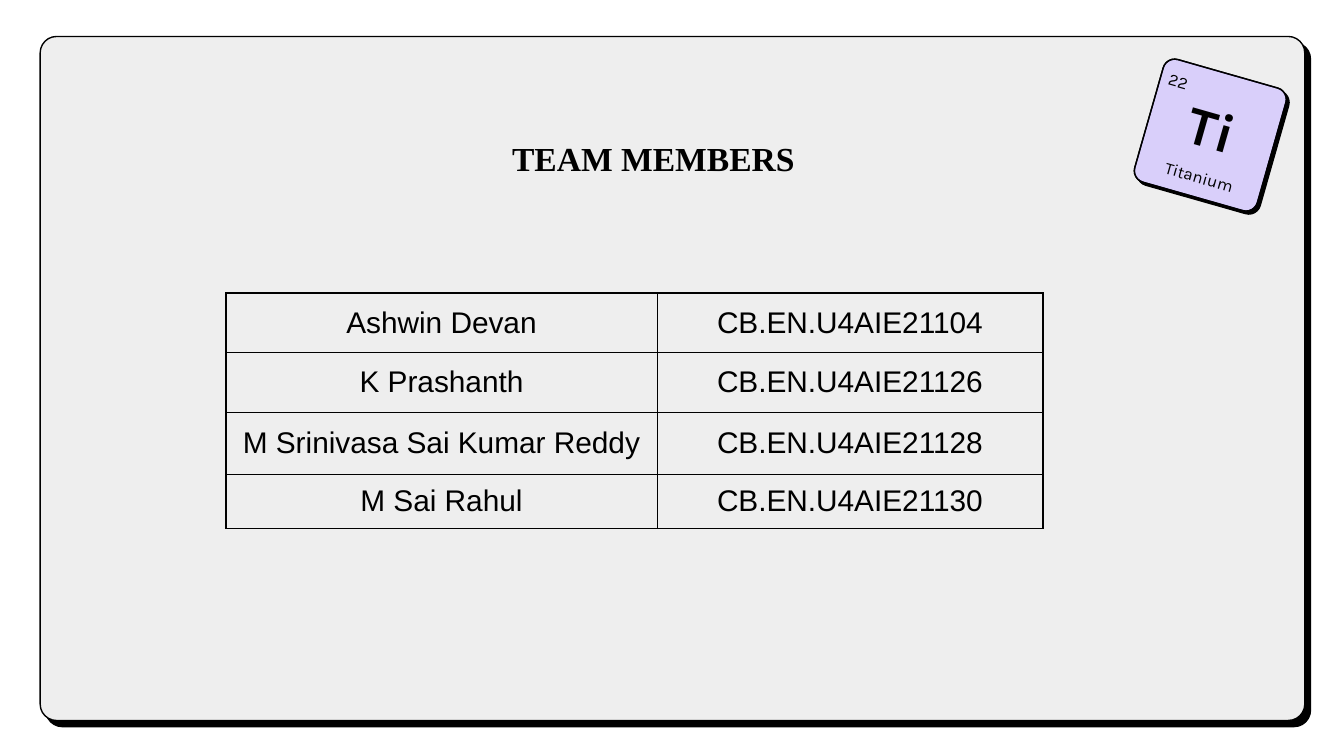
from lxml import etree
from pptx import Presentation
from pptx.dml.color import RGBColor
from pptx.enum.shapes import MSO_SHAPE
from pptx.enum.text import MSO_ANCHOR, MSO_AUTO_SIZE, PP_ALIGN
from pptx.oxml import parse_xml
from pptx.oxml.ns import nsdecls, qn
from pptx.util import Cm, Pt

ROUNDED = MSO_SHAPE.ROUNDED_RECTANGLE
TOP, MIDDLE = MSO_ANCHOR.TOP, MSO_ANCHOR.MIDDLE
LEFT, CENTER = PP_ALIGN.LEFT, PP_ALIGN.CENTER
NO_FIT = MSO_AUTO_SIZE.NONE

COLORS = {"ink": "000000", "panel": "EEEEEE", "white": "FFFFFF", "violet": "6943ED"}

TITLE = "TEAM MEMBERS"
MEMBERS = [
    ("Ashwin Devan", "CB.EN.U4AIE21104"),
    ("K Prashanth", "CB.EN.U4AIE21126"),
    ("M Srinivasa Sai Kumar Reddy", "CB.EN.U4AIE21128"),
    ("M Sai Rahul", "CB.EN.U4AIE21130"),
]
COLUMN_WIDTHS = [8.15, 7.29]
ROW_HEIGHTS = [1.12, 1.14, 1.17, 1.02]
TABLE_AT = (4.27, 5.54)

PANEL_BOX = (0.76, 0.69, 23.9, 12.93)
TITLE_BOX = (8.36, 2.36, 7.98, 1.6)
TILE_BOX = (21.67, 1.35, 2.41, 2.41)
TILE_ROTATION = 15.9
TILE_LABELS = [
    ("Ti", (21.74, 1.7, 2.34, 1.42), CENTER, 0.25, {"size": Pt(29), "bold": True}),
    ("Titanium", (21.46, 3.1, 2.41, 0.48), CENTER, 0.25, {"size": Pt(9)}),
    ("22", (21.84, 1.3, 0.91, 0.48), LEFT, 0, {"size": Pt(9)}),
]


def lengths(values):
    return [Cm(v) for v in values]


def rgb(name):
    return RGBColor.from_string(COLORS[name])


def write(tf, text, align, **fmt):
    p = tf.paragraphs[0]
    p.alignment = align
    r = p.add_run()
    r.text = text
    r.font.color.rgb = rgb("ink")
    for key, value in fmt.items():
        setattr(r.font, key, value)


def frame(tf, **fmt):
    base = {"word_wrap": True, "auto_size": NO_FIT, "margin_left": Cm(0.25),
            "margin_right": Cm(0.25), "margin_top": Cm(0.25), "margin_bottom": Cm(0.25)}
    for key, value in {**base, **fmt}.items():
        setattr(tf, key, value)


def rounded(shapes, box, radius, color, rotation=0, shadow=None):
    sp = shapes.add_shape(ROUNDED, *lengths(box))
    sp.adjustments[0] = radius
    sp.rotation = rotation
    sp.fill.solid()
    sp.fill.fore_color.rgb = rgb(color)
    sp.line.color.rgb = rgb("ink")
    sp.line.width = Pt(0.75)
    sp.shadow.inherit = False
    if shadow:
        effects = sp.element.spPr.find(qn("a:effectLst"))
        effects.append(parse_xml(
            f'<a:outerShdw {nsdecls("a")} blurRad="0" dist="{Pt(shadow)}" '
            f'dir="{47 * 60000}" algn="bl" rotWithShape="0">'
            f'<a:srgbClr val="{COLORS["ink"]}"/></a:outerShdw>'))
    return sp


def border(cell):
    tcPr = cell._tc.get_or_add_tcPr()
    for i, side in enumerate(("lnL", "lnR", "lnT", "lnB")):
        tcPr.insert(i, parse_xml(
            f'<a:{side} {nsdecls("a")} w="{Pt(0.75)}"><a:solidFill>'
            f'<a:srgbClr val="{COLORS["ink"]}"/></a:solidFill></a:{side}>'))


def add_members(s):
    table = s.shapes.add_table(
        len(MEMBERS), len(COLUMN_WIDTHS),
        *lengths((*TABLE_AT, sum(COLUMN_WIDTHS), sum(ROW_HEIGHTS)))).table
    table.first_row = table.horz_banding = False
    for column, width in zip(table.columns, COLUMN_WIDTHS):
        column.width = Cm(width)
    for row, height, member in zip(table.rows, ROW_HEIGHTS, MEMBERS):
        row.height = Cm(height)
        for cell, text in zip(row.cells, member):
            cell.fill.background()
            cell.vertical_anchor = MIDDLE
            cell.margin_top = cell.margin_bottom = 0
            border(cell)
            write(cell.text_frame, text, CENTER, name="Arial", size=Pt(16))


def add_tile(s):
    shapes = s.shapes.add_group_shape().shapes
    rounded(shapes, TILE_BOX, 0.093, "white", TILE_ROTATION, 2.2)
    tint = rounded(shapes, TILE_BOX, 0.093, "violet", TILE_ROTATION)
    color = tint.element.spPr.find(qn("a:solidFill")).find(qn("a:srgbClr"))
    etree.SubElement(color, qn("a:alpha")).set("val", "25000")
    for text, box, align, right, fmt in TILE_LABELS:
        label = shapes.add_textbox(*lengths(box))
        label.rotation = TILE_ROTATION
        frame(label.text_frame, vertical_anchor=MIDDLE, margin_right=Cm(right))
        write(label.text_frame, text, align, name="Karla", **fmt)


def main():
    prs = Presentation()
    prs.slide_width, prs.slide_height = Cm(25.4), Cm(14.29)
    s = prs.slides.add_slide(prs.slide_layouts[5])

    title = s.shapes.title
    title.left, title.top, title.width, title.height = lengths(TITLE_BOX)
    frame(title.text_frame, vertical_anchor=TOP)
    write(title.text_frame, TITLE, CENTER, name="Times New Roman", size=Pt(18), bold=True)

    panel = rounded(s.shapes, PANEL_BOX, 0.024, "panel", shadow=4.5)
    title.element.addprevious(panel.element)
    add_members(s)
    add_tile(s)
    prs.save("out.pptx")


if __name__ == "__main__":
    main()
